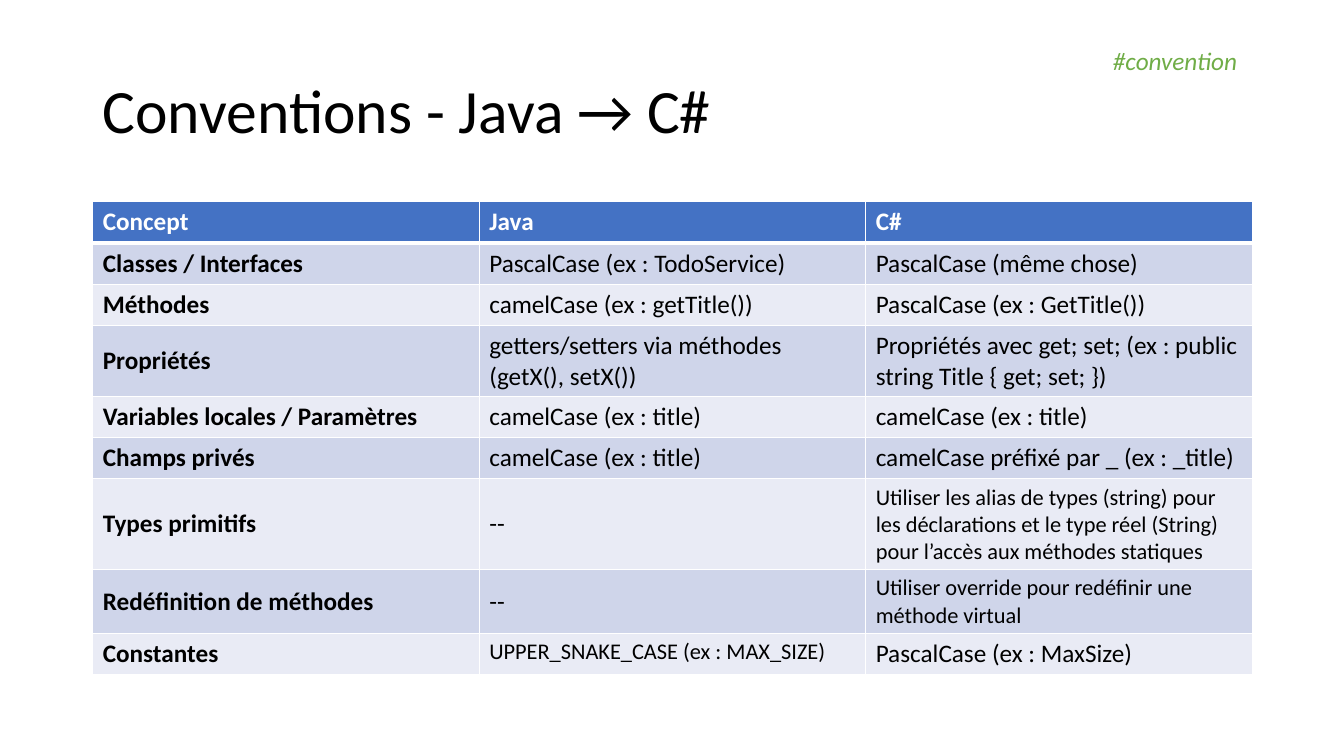
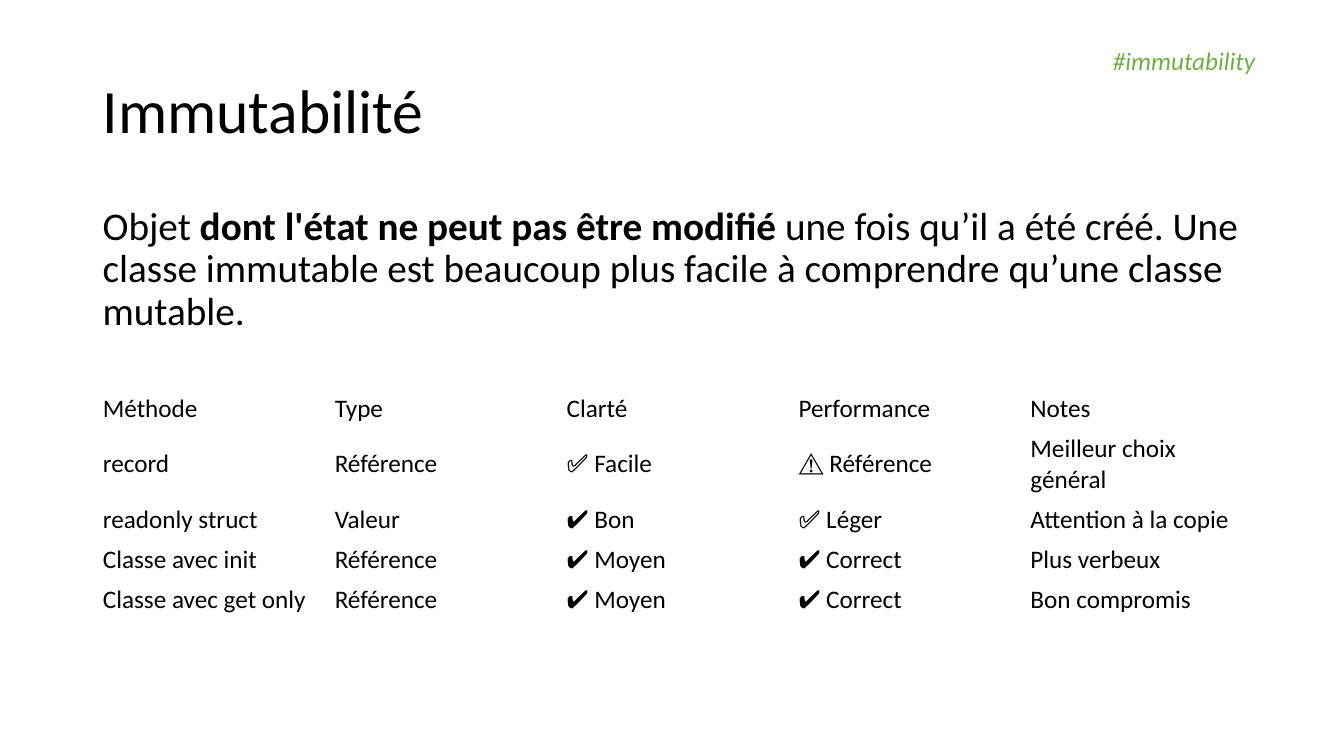
from lxml import etree
from pptx import Presentation
from pptx.dml.color import RGBColor
from pptx.enum.text import MSO_ANCHOR as Anchor
from pptx.oxml.ns import qn
from pptx.util import Inches, Pt

FONT = "Calibri"
BLACK, WHITE, GREEN = "000000", "FFFFFF", "70AD47"
HEADER_FILL, BAND_FILLS = "4472C4", ("CFD5EA", "E9EBF5")

LEFT, WIDTH = 0.92, 11.5
TITLE_BOX = (LEFT, 0.4, WIDTH, 1.45)
TITLE = {"size": 44}
TAG = {"size": 18, "color": GREEN, "italic": True}
BODY = {"size": 28}
CELL = {"size": 18}
SMALL = 16

CONVENTIONS = [
    ("Concept", "Java", "C#"),
    ("Classes / Interfaces", "PascalCase (ex : TodoService)", "PascalCase (même chose)"),
    ("Méthodes", "camelCase (ex : getTitle())", "PascalCase (ex : GetTitle())"),
    ("Propriétés", "getters/setters via méthodes (getX(), setX())",
     "Propriétés avec get; set; (ex : public string Title { get; set; })"),
    ("Variables locales / Paramètres", "camelCase (ex : title)", "camelCase (ex : title)"),
    ("Champs privés", "camelCase (ex : title)", "camelCase préfixé par _ (ex : _title)"),
    ("Types primitifs", "--",
     "Utiliser les alias de types (string) pour les déclarations "
     "et le type réel (String) pour l’accès aux méthodes statiques"),
    ("Redéfinition de méthodes", "--", "Utiliser override pour redéfinir une méthode virtual"),
    ("Constantes", "UPPER_SNAKE_CASE (ex : MAX_SIZE)", "PascalCase (ex : MaxSize)"),
]
SMALL_CELLS = {(6, 2), (7, 2), (8, 1)}

IMMUTABLE_TYPES = [
    ("Méthode", "Type", "Clarté", "Performance", "Notes"),
    ("record", "Référence", "✅ Facile", "⚠️ Référence", "Meilleur choix général"),
    ("readonly struct", "Valeur", "✔️ Bon", "✅ Léger", "Attention à la copie"),
    ("Classe avec init", "Référence", "✔️ Moyen", "✔️ Correct", "Plus verbeux"),
    ("Classe avec get only", "Référence", "✔️ Moyen", "✔️ Correct", "Bon compromis"),
]
DEFINITION = [
    ("Objet ", {}),
    ("dont l'état ne peut pas être modifié", {"bold": True}),
    (" une fois qu’il a été créé. Une classe immutable est beaucoup plus facile "
     "à comprendre qu’une classe mutable.", {}),
]


def rgb(value):
    return RGBColor.from_string(value)


def add_span(para, text, style):
    span = para.add_run()
    span.text = text
    values = {"name": FONT, "bold": False, "color": BLACK, **style}
    span.font.color.rgb = rgb(values.pop("color"))
    values["size"] = Pt(values["size"])
    for name, value in values.items():
        setattr(span.font, name, value)


def add_text(page, box, spans, style, anchor=Anchor.TOP, wrap=True, **spacing):
    frame = page.shapes.add_textbox(*map(Inches, box)).text_frame
    frame.word_wrap = wrap
    frame.vertical_anchor = anchor
    para = frame.paragraphs[0]
    for name, value in spacing.items():
        setattr(para, name, value)
    for text, extra in spans:
        add_span(para, text, {**style, **extra})


def set_borders(cell, widths):
    """Draw white borders; they must come before the fill of the cell."""
    props = cell._tc.get_or_add_tcPr()
    for index, (side, width) in enumerate(widths.items()):
        line = etree.Element(qn(f"a:ln{side}"), w=str(Pt(width)))
        fill = etree.SubElement(line, qn("a:solidFill"))
        etree.SubElement(fill, qn("a:srgbClr"), val=WHITE)
        props.insert(index, line)


def add_grid(page, box, rows, format_cell):
    """Equal rows and columns; format_cell returns the text style of a cell."""
    left, top, width, row_height = box
    count = len(rows[0])
    table = page.shapes.add_table(
        len(rows), count, *map(Inches, (left, top, width, row_height * len(rows)))).table
    table.first_row = table.horz_banding = False
    for column in table.columns:
        column.width = Inches(width / count)
    for row, texts in enumerate(rows):
        for col, text in enumerate(texts):
            cell = table.cell(row, col)
            cell.vertical_anchor = Anchor.MIDDLE
            style = format_cell(cell, row, col)
            add_span(cell.text_frame.paragraphs[0], text, {**CELL, **style})


def format_banded(cell, row, col):
    header = row == 0
    cell.fill.solid()
    cell.fill.fore_color.rgb = rgb(HEADER_FILL if header else BAND_FILLS[(row - 1) % 2])
    set_borders(cell, {"L": 1, "R": 1, "T": 3 if row == 1 else 1, "B": 3 if header else 1})
    style = {"bold": header or col == 0, "color": WHITE if header else BLACK}
    if (row, col) in SMALL_CELLS:
        style["size"] = SMALL
    if row == len(CONVENTIONS) - 1 and col > 0:
        cell.vertical_anchor = Anchor.TOP
    return style


def format_plain(cell, row, col):
    cell.fill.background()
    return {}


def add_page(deck, title, tag, tag_width):
    page = deck.slides.add_slide(deck.slide_layouts[6])
    add_text(page, TITLE_BOX, [(title, {})], TITLE, Anchor.MIDDLE, line_spacing=0.9)
    add_text(page, (10.94, 0.4, tag_width, 0.4), [(tag, {})], TAG, wrap=False)
    return page


def build_conventions(deck):
    page = add_page(deck, "Conventions - Java → C#", "#convention", 1.47)
    add_grid(page, (LEFT, 2, WIDTH, 0.41), CONVENTIONS, format_banded)


def build_immutability(deck):
    page = add_page(deck, "Immutabilité", "#immutability", 1.63)
    add_text(page, (LEFT, 2, WIDTH, 4.76), DEFINITION, BODY,
             line_spacing=0.9, space_before=Pt(10))
    add_grid(page, (LEFT, 3.85, WIDTH, 0.4), IMMUTABLE_TYPES, format_plain)


def main():
    deck = Presentation()
    deck.slide_width, deck.slide_height = Inches(13.33), Inches(7.5)
    build_conventions(deck)
    build_immutability(deck)
    deck.save("out.pptx")


if __name__ == "__main__":
    main()
